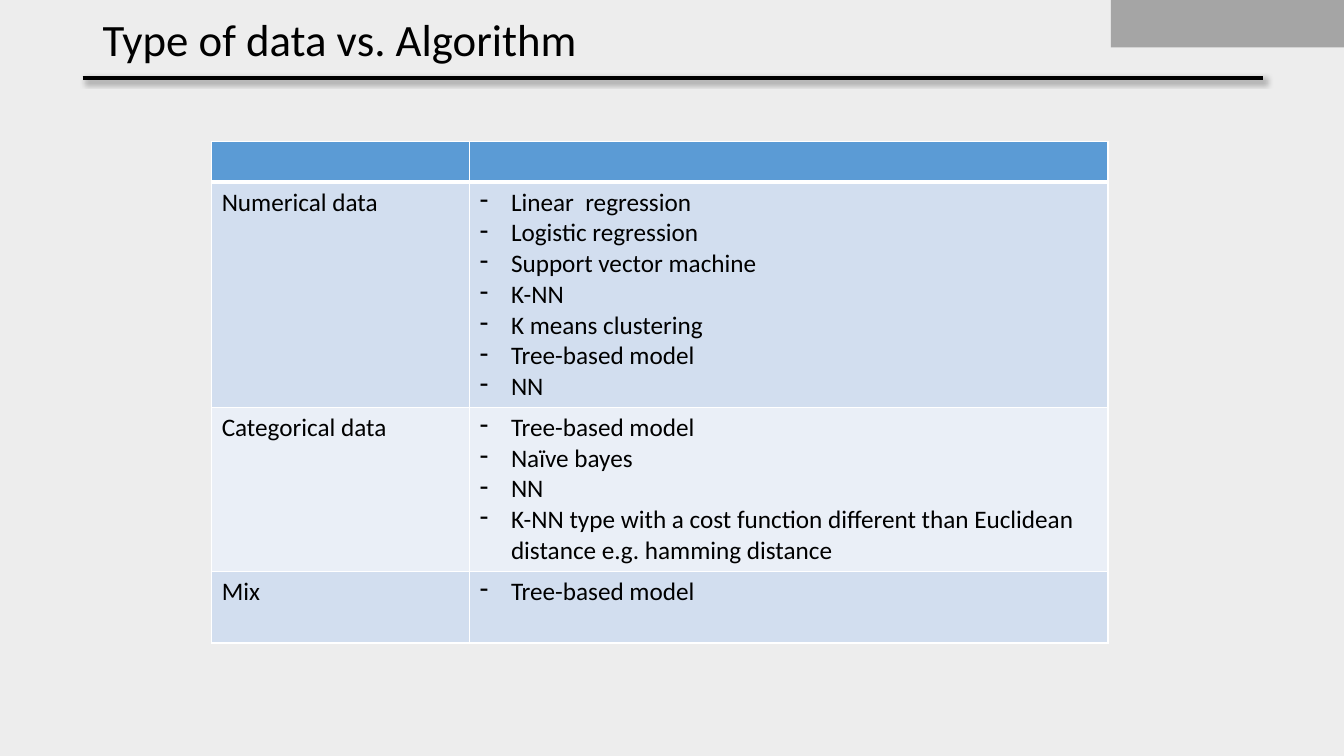
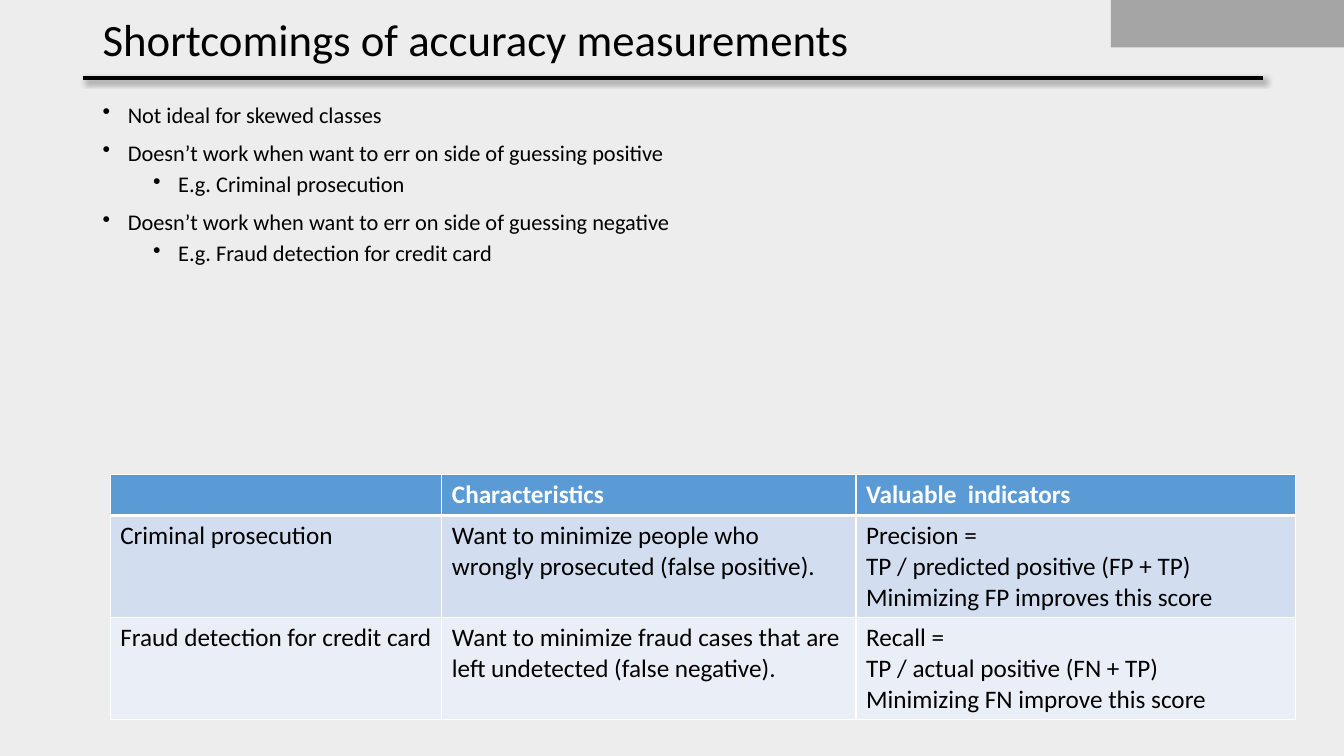
from lxml import etree
from pptx import Presentation
from pptx import util as u
from pptx.dml.color import RGBColor
from pptx.enum import shapes, text
from pptx.oxml import parse_xml
from pptx.oxml.ns import nsdecls, qn

COLORS = {"paper": "EDEDED", "band": "A5A5A5", "ink": "000000", "white": "FFFFFF",
          "header": "5B9BD5", "odd": "D2DEEF", "even": "EAEFF7"}
FONTS = {
    "title": {"name": "Calibri", "size": u.Pt(32), "bold": False},
    "body": {"name": "Calibri", "size": u.Pt(16), "bold": False},
    "cell": {"name": "Calibri", "size": u.Pt(18), "bold": False},
    "header": {"name": "Calibri", "size": u.Pt(18), "bold": True},
}
GRID = 100  # columns and rows across the slide
TITLE_X, TITLE_W = 6.9, 86.25
RULE_Y = 10.27


def rgb(name):
    return RGBColor.from_string(COLORS[name])


def xml(body):
    """Make one element whose opening tag holds the mark NS."""
    return parse_xml(body.replace("NS", nsdecls("a"), 1))


class Deck:
    def __init__(self):
        self.prs = Presentation()
        self.prs.slide_width, self.prs.slide_height = u.Emu(12192000), u.Inches(7.5)
        fill = self.prs.slide_master.background.fill
        fill.solid()
        fill.fore_color.rgb = rgb("paper")
        self.s = None

    def col(self, n):
        return u.Emu(round(self.prs.slide_width * n / GRID))

    def row(self, n):
        return u.Emu(round(self.prs.slide_height * n / GRID))

    def box(self, x, y, w, h):
        return self.col(x), self.row(y), self.col(w), self.row(h)

    def slide(self, title):
        self.s = self.prs.slides.add_slide(self.prs.slide_layouts[6])
        self.band(82.65, 0, 17.35, 6.27)
        self.rule(6.15, 94, RULE_Y)
        tf = self.text_frame(TITLE_X, 1.07, TITLE_W, 9.07)
        tf.vertical_anchor = text.MSO_ANCHOR.MIDDLE
        self.add_words(tf.paragraphs[0], title, "title", spacing=0.9)

    def band(self, *at):
        sp = self.s.shapes.add_shape(shapes.MSO_SHAPE.RECTANGLE, *self.box(*at))
        sp.shadow.inherit = False
        sp.fill.solid()
        sp.fill.fore_color.rgb = rgb("band")
        sp.line.fill.background()

    def rule(self, left, right, y):
        ln = self.s.shapes.add_connector(shapes.MSO_CONNECTOR.STRAIGHT, self.col(left),
                                         self.row(y), self.col(right), self.row(y))
        ln.line.width = u.Pt(3)
        ln.line.color.rgb = rgb("ink")
        ln._element.spPr.append(xml(
            f'<a:effectLst NS><a:outerShdw blurRad="{u.Pt(4)}" dist="{u.Pt(3)}" '
            'dir="2700000" algn="tl" rotWithShape="0">'
            f'<a:srgbClr val="{COLORS["ink"]}"><a:alpha val="40000"/></a:srgbClr>'
            '</a:outerShdw></a:effectLst>'))

    def text_frame(self, *at):
        tf = self.s.shapes.add_textbox(*self.box(*at)).text_frame
        tf.word_wrap = True
        return tf

    def add_words(self, p, words, font, color="ink", spacing=None):
        if spacing:
            p.line_spacing = spacing
        r = p.add_run()
        r.text = words
        for name, value in FONTS[font].items():
            setattr(r.font, name, value)
        r.font.color.rgb = rgb(color)

    def bullet(self, p, mark, left, hang):
        """Hang a mark before the text; left and hang are in inches."""
        pPr = p._p.get_or_add_pPr()
        pPr.set("marL", str(u.Inches(left)))
        pPr.set("indent", str(-u.Inches(hang)))
        etree.SubElement(pPr, qn("a:buChar")).set("char", mark)

    def bullets(self, at, items):
        """Set (level, words) pairs as a bulleted list."""
        tf = self.text_frame(*at)
        for i, (level, words) in enumerate(items):
            p = tf.add_paragraph() if i else tf.paragraphs[0]
            p.level = level
            self.bullet(p, "•", 0.25 + 0.5 * level, 0.25)
            if i:
                p.space_before = u.Pt(5 if level else 10)
            self.add_words(p, words, "body", spacing=0.9)

    def borders(self, cell, top, bottom):
        tcPr = cell._tc.get_or_add_tcPr()
        for side, width in (("L", 1), ("R", 1), ("T", top), ("B", bottom)):
            tcPr.append(xml(f'<a:ln{side} NS w="{u.Pt(width)}"><a:solidFill>'
                            f'<a:srgbClr val="{COLORS["white"]}"/>'
                            f'</a:solidFill></a:ln{side}>'))

    def table(self, x, y, widths, heights, rows, dashed=()):
        """Fill a table; lines split a cell's text, dashed columns are lists."""
        frame = self.s.shapes.add_table(len(heights), len(widths),
                                        *self.box(x, y, sum(widths), sum(heights)))
        tbl = frame.table
        tbl.first_row = tbl.horz_banding = False
        for column, width in zip(tbl.columns, widths):
            column.width = self.col(width)
        for i, (height, row) in enumerate(zip(heights, rows)):
            tbl.rows[i].height = self.row(height)
            fill = ("odd" if i % 2 else "even") if i else "header"
            font, color = ("cell", "ink") if i else ("header", "white")
            for j, words in enumerate(row):
                cell = tbl.cell(i, j)
                self.borders(cell, 3 if i == 1 else 1, 1 if i else 3)
                cell.fill.solid()
                cell.fill.fore_color.rgb = rgb(fill)
                for k, line in enumerate(words.splitlines()):
                    tf = cell.text_frame
                    p = tf.add_paragraph() if k else tf.paragraphs[0]
                    if j in dashed:
                        self.bullet(p, "-", 0.31, 0.31)
                    self.add_words(p, line, font, color)


def main():
    deck = Deck()

    deck.slide("Type of data vs. Algorithm")
    deck.table(15.75, 18.67, (19.2, 47.5), (5.4, 29.8, 21.7, 9.5), [
        ("", ""),
        ("Numerical data", "Linear  regression\nLogistic regression\n"
         "Support vector machine\nK-NN\nK means clustering\nTree-based model\nNN"),
        ("Categorical data", "Tree-based model\nNaïve bayes\nNN\n"
         "K-NN type with a cost function different than Euclidean distance "
         "e.g. hamming distance"),
        ("Mix", "Tree-based model"),
    ], dashed=(1,))

    deck.slide("Shortcomings of accuracy measurements")
    deck.bullets((TITLE_X, 13.07, TITLE_W, 75), [
        (0, "Not ideal for skewed classes"),
        (0, "Doesn’t work when want to err on side of guessing positive"),
        (1, "E.g. Criminal prosecution"),
        (0, "Doesn’t work when want to err on side of guessing negative"),
        (1, "E.g. Fraud detection for credit card"),
    ])
    deck.table(8.2, 62.8, (24.68, 30.82, 32.7), (5.4, 13.5, 13.5), [
        ("", "Characteristics", "Valuable  indicators"),
        ("Criminal prosecution",
         "Want to minimize people who wrongly prosecuted (false positive).",
         "Precision =\nTP / predicted positive (FP + TP)\n"
         "Minimizing FP improves this score"),
        ("Fraud detection for credit card",
         "Want to minimize fraud cases that are left undetected (false negative).",
         "Recall =\nTP / actual positive (FN + TP)\n"
         "Minimizing FN improve this score"),
    ])

    deck.prs.save("out.pptx")


if __name__ == "__main__":
    main()
